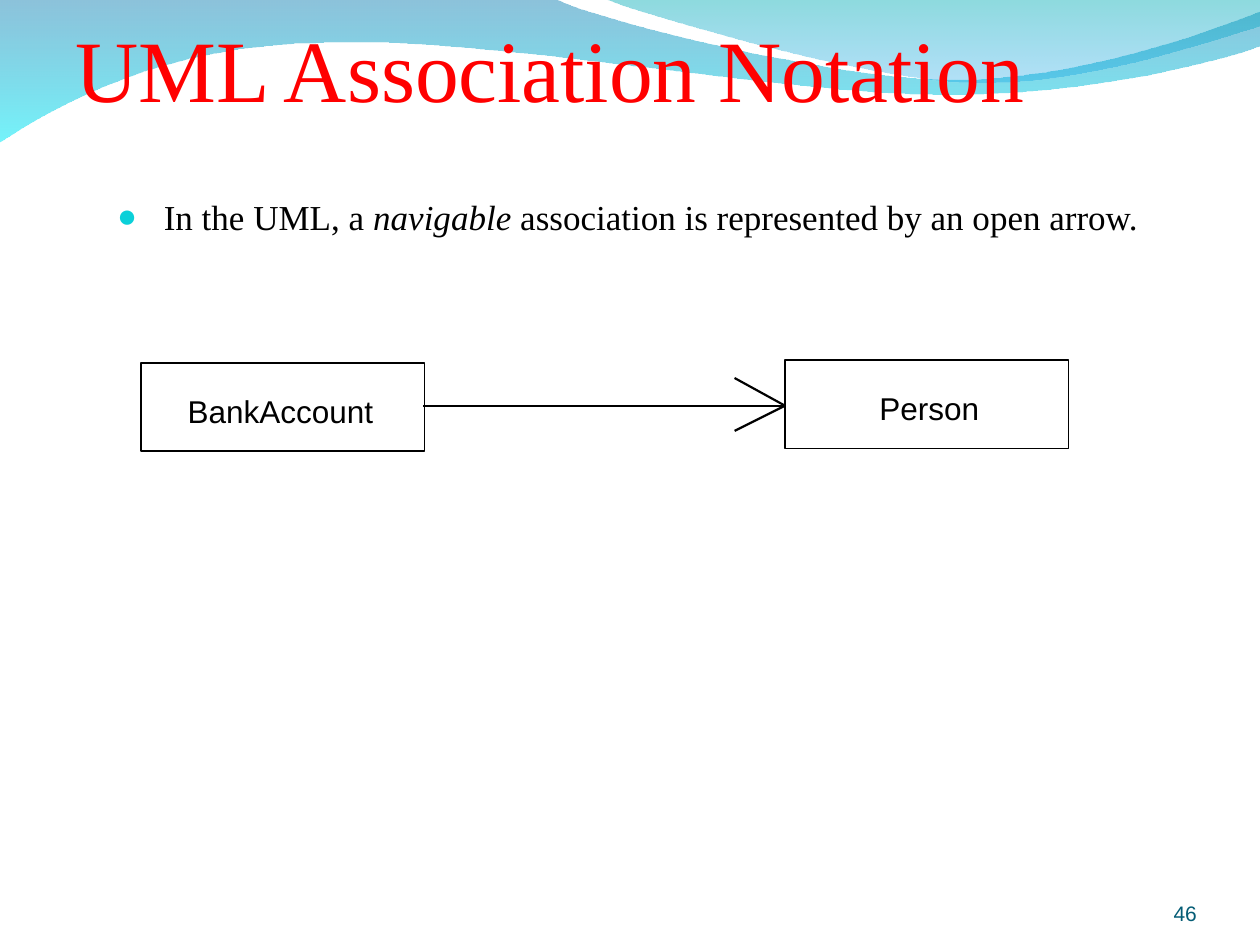
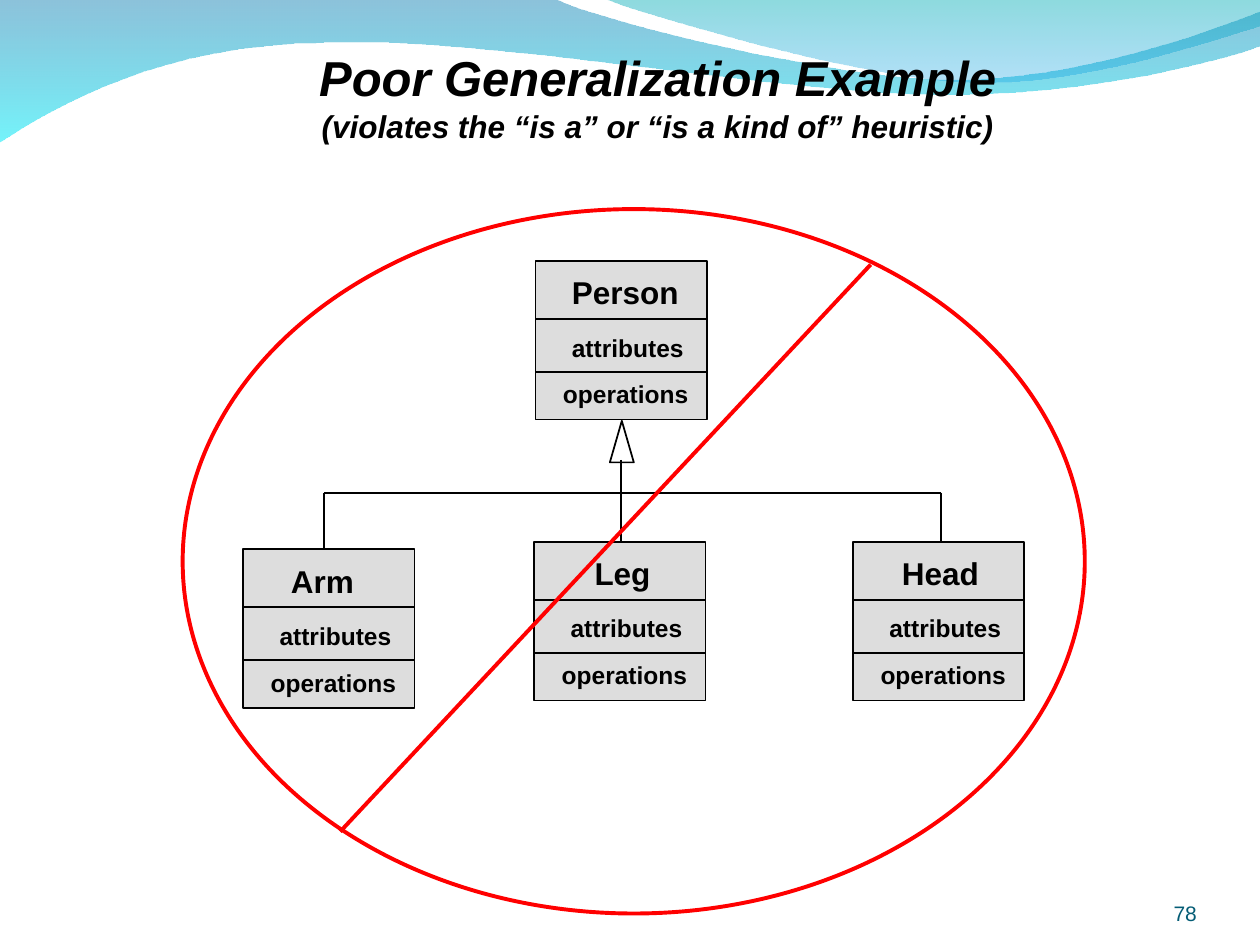
from dataclasses import dataclass

from lxml import etree
from pptx import Presentation
from pptx.dml.color import RGBColor
from pptx.enum.shapes import MSO_CONNECTOR, MSO_SHAPE
from pptx.enum.text import MSO_ANCHOR, MSO_AUTO_SIZE, PP_ALIGN
from pptx.oxml.ns import qn
from pptx.util import Inches, Pt

STRAIGHT = MSO_CONNECTOR.STRAIGHT
RECTANGLE, OVAL, TRIANGLE = MSO_SHAPE.RECTANGLE, MSO_SHAPE.OVAL, MSO_SHAPE.ISOSCELES_TRIANGLE
TOP, MIDDLE, BOTTOM = MSO_ANCHOR.TOP, MSO_ANCHOR.MIDDLE, MSO_ANCHOR.BOTTOM
LEFT, CENTER, RIGHT = PP_ALIGN.LEFT, PP_ALIGN.CENTER, PP_ALIGN.RIGHT
NO_FIT = MSO_AUTO_SIZE.NONE


@dataclass(frozen=True)
class Theme:
    sans: str = "Arial"
    serif: str = "Times New Roman"
    black: str = "000000"
    white: str = "FFFFFF"
    red: str = "FF0000"
    class_fill: str = "DDDDDD"
    bullet: str = "0BD0D9"
    page_number: str = "045C75"
    title_size: int = 50
    heading_size: int = 28
    body_size: int = 20
    name_size: int = 18
    member_size: int = 14
    number_size: int = 12
    thin: float = 1
    arrow: float = 1.25
    thick: float = 2.25


theme = Theme()


def write_text(box, place, text, size, font=theme.sans, color=theme.black, bold=False,
               italic=False, align=LEFT, anchor=TOP, margins=(0.1, 0.05), wrap=False):
    """Place a text box or placeholder and set its text in one style."""
    box.left, box.top, box.width, box.height = map(Inches, place)
    frame = box.text_frame
    frame.text = text
    frame.word_wrap = wrap
    frame.auto_size = NO_FIT
    frame.vertical_anchor = anchor
    frame.margin_left = frame.margin_right = Inches(margins[0])
    frame.margin_top = frame.margin_bottom = Inches(margins[1])
    for para in frame.paragraphs:
        para.alignment = align
        para.space_before = Pt(0)
        for span in para.runs:
            span.font.name = font
            span.font.size = Pt(size)
            span.font.bold = bold
            span.font.italic = italic
            span.font.color.rgb = RGBColor.from_string(color)
    return frame


def add_line(page, start, end, color=theme.black, width=theme.thin):
    line = page.shapes.add_connector(STRAIGHT, *map(Inches, (*start, *end)))
    line.line.color.rgb = RGBColor.from_string(color)
    line.line.width = Pt(width)
    etree.SubElement(line.element.spPr, qn("a:effectLst"))


deck = Presentation()
deck.slide_width, deck.slide_height = Inches(10), Inches(7.5)
association = deck.slides.add_slide(deck.slide_layouts[1])
generalization = deck.slides.add_slide(deck.slide_layouts[5])

# Wave bands, shared through the slide master: one point is a line end, three are a curve.
bands = [
    ([(0, -0.01)],
     [[(4.4, -0.01)], [(4.76, 0.17), (6.64, 0.63), (7.58, 0.63)],
      [(8.53, 0.63), (9.58, 0.26), (10, 0.09)], [(10.01, 0.36)],
      [(9.83, 0.44), (8.7, 0.76), (7.46, 0.75)],
      [(6.22, 0.75), (3.82, 0.28), (2.57, 0.34)],
      [(1.29, 0.35), (0.46, 0.83), (-0.01, 1.13)]],
     [("0079AF", 45), ("00EBF8", 55)]),
    ([(4.79, -0.01)],
     [[(5.09, 0.11), (6.82, 0.62), (7.69, 0.65)],
      [(8.56, 0.69), (9.61, 0.32), (10, 0.21)], [(10, 0)]],
     [("00ADB6", 45), ("009BE5", 30)]),
]
CURVE_STEPS = 16
master_tree = deck.slide_master.shapes.element
for index, (outline, segments, stops) in enumerate(bands):
    for segment in segments:
        if len(segment) == 1:
            outline.append(segment[0])
            continue
        corners = [outline[-1], *segment]
        for step in range(1, CURVE_STEPS + 1):
            t = step / CURVE_STEPS
            weights = ((1 - t) ** 3, 3 * t * (1 - t) ** 2, 3 * t ** 2 * (1 - t), t ** 3)
            outline.append(tuple(sum(w * corner[axis] for w, corner in zip(weights, corners))
                                 for axis in (0, 1)))
    points = [(Inches(x), Inches(y)) for x, y in outline]
    builder = association.shapes.build_freeform(*points[0])
    builder.add_line_segments(points[1:], close=True)
    band = builder.convert_to_shape()
    band.name = f"Wave band {index + 1}"
    band.shadow.inherit = False
    band.line.fill.background()
    band.fill.gradient()
    band.fill.gradient_angle = 270
    for stop, (color, _) in zip(band.fill.gradient_stops, stops):
        stop.color.rgb = RGBColor.from_string(color)
    for node, (_, opacity) in zip(band.element.spPr.iter(qn("a:srgbClr")), stops):
        etree.SubElement(node, qn("a:alpha"), val=str(opacity * 1000))
    band.element.nvSpPr.cNvPr.set("id", str(100 + index))
    master_tree.insert(2 + index, band.element)

for page, number in ((association, "46"), (generalization, "78")):
    write_text(page.shapes.add_textbox(0, 0, 0, 0), (8.67, 6.95, 0.83, 0.4), number,
               theme.number_size, color=theme.page_number, align=RIGHT, anchor=BOTTOM,
               margins=(0, 0), wrap=True)

outlined = []  # shape, fill, line colour, line width

# Association: two classes joined by an open arrow
write_text(association.shapes.title, (0.5, 0.3, 9, 0.47), "UML Association Notation",
           theme.title_size, theme.serif, theme.red, anchor=MIDDLE, wrap=True)

body = write_text(association.placeholders[1], (0.83, 1.5, 8.5, 1.08), "In the UML, a ",
                  theme.body_size, theme.serif, wrap=True)
para = body.paragraphs[0]
properties = para._p.get_or_add_pPr()
properties.set("marL", str(Inches(0.37)))
properties.set("indent", str(-Inches(0.37)))
bullet_color = etree.SubElement(properties, qn("a:buClr"))
etree.SubElement(bullet_color, qn("a:srgbClr"), val=theme.bullet)
etree.SubElement(properties, qn("a:buSzPct"), val="95000")
etree.SubElement(properties, qn("a:buChar"), char="●")
for words, italic in (("navigable", True),
                      (" association is represented by an open arrow.", False)):
    span = para.add_run()
    span.text = words
    span.font.name = theme.serif
    span.font.size = Pt(theme.body_size)
    span.font.italic = italic
    span.font.color.rgb = RGBColor.from_string(theme.black)

for name, left, top, text_left, text_width in (("BankAccount", 1.12, 2.88, 1.49, 1.47),
                                               ("Person", 6.23, 2.86, 6.98, 0.79)):
    box = association.shapes.add_shape(RECTANGLE, *map(Inches, (left, top, 2.25, 0.7)))
    outlined.append((box, theme.white, theme.black, theme.thin))
    write_text(association.shapes.add_textbox(0, 0, 0, 0),
               (text_left, top + 0.23, text_width, 0.3), name, theme.name_size, margins=(0, 0))

arrow_tip = (6.23, 3.22)
for tail in ((3.36, 3.22), (5.83, 3), (5.83, 3.42)):
    add_line(association, tail, arrow_tip, width=theme.arrow)

# Generalization: a parent class, three children, and a crossed-out ring
heading = write_text(generalization.shapes.title, (2.43, 0.33, 5.58, 0.87),
                     "Poor Generalization Example\n"
                     "(violates the “is a” or “is a kind of” heuristic)",
                     theme.heading_size, bold=True, italic=True, align=CENTER)
heading.paragraphs[1].runs[0].font.size = Pt(theme.name_size)

branch_y = 3.91
add_line(generalization, (2.57, branch_y), (7.47, branch_y))
for x, start, end in ((2.57, branch_y, 4.35), (4.93, 3.65, 4.32), (7.47, branch_y, 4.34)):
    add_line(generalization, (x, start), (x, end))

CLASS_WIDTH, CLASS_HEIGHT = 1.36, 1.26
classes = [  # name, left, top, name offset, name width
    ("Person", 4.25, 2.07, 0.19, 1.05),
    ("Arm", 1.93, 4.36, 0.28, 0.7),
    ("Leg", 4.24, 4.3, 0.38, 0.65),
    ("Head", 6.77, 4.3, 0.29, 0.81),
]
for name, left, top, name_offset, name_width in classes:
    box = generalization.shapes.add_shape(
        RECTANGLE, *map(Inches, (left, top, CLASS_WIDTH, CLASS_HEIGHT)))
    outlined.append((box, theme.class_fill, theme.black, theme.thin))
    for text, x, y, width, height, size in (
            (name, name_offset, 0.05, name_width, 0.4, theme.name_size),
            ("attributes", 0.19, 0.52, 1.09, 0.33, theme.member_size),
            ("operations", 0.12, 0.89, 1.2, 0.33, theme.member_size)):
        write_text(generalization.shapes.add_textbox(0, 0, 0, 0),
                   (left + x, top + y, width, height), text, size, bold=True)
    for divider in (0.46, 0.88):
        add_line(generalization, (left, top + divider), (left + CLASS_WIDTH, top + divider))

for kind, place, color, width in (
        (TRIANGLE, (4.84, 3.34, 0.19, 0.33), theme.black, theme.thin),
        (OVAL, (1.45, 1.66, 7.16, 5.59), theme.red, theme.thick)):
    shape = generalization.shapes.add_shape(kind, *map(Inches, place))
    outlined.append((shape, None, color, width))
add_line(generalization, (6.91, 2.1), (2.7, 6.6), theme.red, theme.thick)

for shape, fill, color, width in outlined:
    shape.shadow.inherit = False
    if fill:
        shape.fill.solid()
        shape.fill.fore_color.rgb = RGBColor.from_string(fill)
    else:
        shape.fill.background()
    shape.line.color.rgb = RGBColor.from_string(color)
    shape.line.width = Pt(width)

deck.save("out.pptx")
